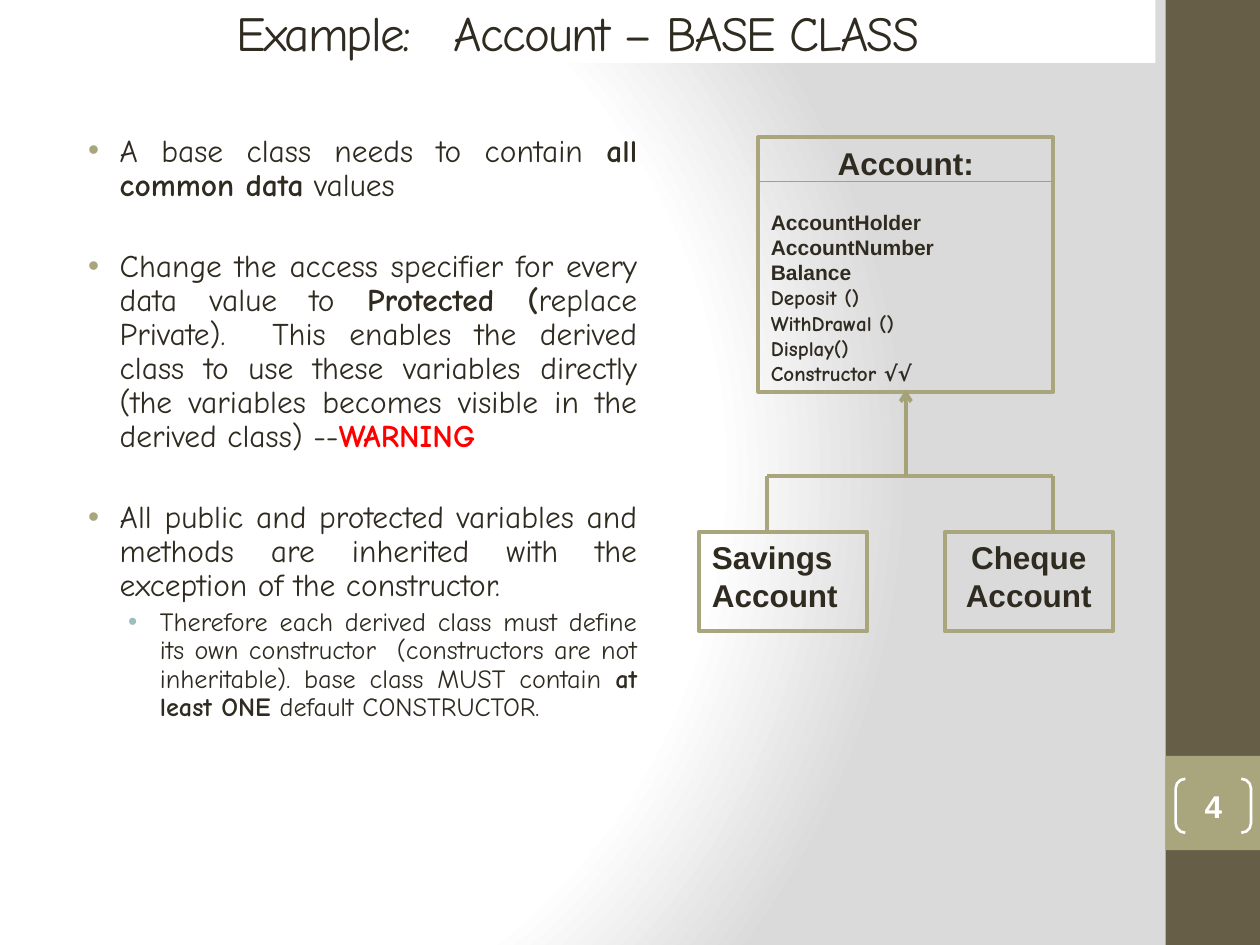
from lxml.etree import SubElement as Sub
from pptx import Presentation
from pptx.dml.color import RGBColor
from pptx.enum.shapes import MSO_CONNECTOR as Link, MSO_SHAPE as Kind
from pptx.enum.text import MSO_ANCHOR as Anchor, MSO_AUTO_SIZE as Auto, PP_ALIGN as Align
from pptx.oxml import parse_xml
from pptx.oxml.ns import nsdecls, qn
from pptx.util import Cm, Pt

INK, GOLD, DARK, TEAL = "2F2B20", "A9A57C", "675E47", "9CBEBD"
OLIVE, WHITE, GREY, RED = "A6A278", "FFFFFF", "DADADA", "FF0000"
HAND, SANS = "Comic Neue", "Arial"


def rgb(code):
    """Turn a hex string into a colour."""
    return RGBColor.from_string(code)


def write(para, text, size=18, font=HAND, color=INK, bold=False, track=None):
    """Add a formatted run to a paragraph."""
    run = para.add_run()
    run.text = text
    face = run.font
    face.size, face.name, face.bold = Pt(size), font, bold
    face.color.rgb = rgb(color)
    if track:
        run._r.get_or_add_rPr().set("spc", str(track * 100))


def place(shape, left, top, width, height):
    """Move and size a shape, in centimetres."""
    shape.left, shape.top = Cm(left), Cm(top)
    shape.width, shape.height = Cm(width), Cm(height)


def frame(shape, anchor=Anchor.TOP):
    """Return the wrapped text frame of a shape."""
    text = shape.text_frame
    text.word_wrap, text.auto_size = True, Auto.NONE
    text.vertical_anchor = anchor
    return text


def start(text, align, first=False):
    """Open a paragraph with an alignment."""
    para = text.paragraphs[0] if first else text.add_paragraph()
    para.alignment = align
    return para


def box(slide, area, kind=Kind.RECTANGLE, fill=None, line=None, width=2.25):
    """Draw a preset shape."""
    shape = slide.shapes.add_shape(kind, *map(Cm, area))
    shape.shadow.inherit = False
    if fill:
        shape.fill.solid()
        shape.fill.fore_color.rgb = rgb(fill)
    else:
        shape.fill.background()
    if line:
        shape.line.color.rgb = rgb(line)
        shape.line.width = Pt(width)
    else:
        shape.line.fill.background()
    return shape


def join(slide, ends, color=GOLD, width=2.25, arrow=False):
    """Draw a straight line, with an arrowhead if asked."""
    link = slide.shapes.add_connector(Link.STRAIGHT, *map(Cm, ends))
    link.line.color.rgb = rgb(color)
    link.line.width = Pt(width)
    if arrow:
        Sub(link.line._get_or_add_ln(), qn("a:tailEnd"), type="arrow")
    Sub(link._element.spPr, qn("a:effectLst"))


def bullet(text, parts, size=18, gap=27, indent=0.97, dot=GOLD, level=0, first=False):
    """Add a justified bullet made of (text, format) parts."""
    para = start(text, Align.JUSTIFY, first)
    para.level, para.line_spacing, para.space_before = level, 0.9, Pt(gap)
    props = para._p.get_or_add_pPr()
    props.set("marL", str(Cm(indent)))
    props.set("indent", str(Cm(-0.64)))
    Sub(Sub(props, qn("a:buClr")), qn("a:srgbClr"), val=dot)
    Sub(props, qn("a:buFont"), typeface=SANS)
    Sub(props, qn("a:buChar"), char="•")
    for words, style in parts:
        write(para, words, size=size, **style)


def backdrop(slide):
    """Fill the background with a round gradient."""
    slide.background.fill.solid()
    props = slide.element.find(".//" + qn("p:bgPr"))
    stops = "".join(
        f'<a:gs pos="{pos * 1000}"><a:srgbClr val="{code}"/></a:gs>'
        for pos, code in ((0, WHITE), (75, WHITE), (100, GREY)))
    grad = parse_xml(
        f'<a:gradFill {nsdecls("a")} rotWithShape="1"><a:gsLst>{stops}</a:gsLst>'
        '<a:path path="circle"><a:fillToRect l="20000" t="50000" r="100000" b="50000"/>'
        '</a:path></a:gradFill>')
    props.replace(props[0], grad)


def margin(slide):
    """Draw the side band with the page number."""
    box(slide, (23.5, 0, 1.9, 19.05), fill=DARK)
    box(slide, (23.5, 15.24, 1.9, 1.9), fill=GOLD)
    mark = box(slide, (23.7, 15.7, 1.52, 1.09), Kind.DOUBLE_BRACKET, line=WHITE, width=1.5)
    mark.adjustments[0] = 0.18
    para = start(frame(mark, Anchor.MIDDLE), Align.CENTER, True)
    write(para, "4", font=SANS, color=WHITE, bold=True)


def heading(slide):
    """Fill the title."""
    title = slide.shapes.title
    place(title, 0, 0, 23.29, 1.27)
    title.fill.solid()
    title.fill.fore_color.rgb = rgb(WHITE)
    para = start(frame(title, Anchor.MIDDLE), Align.CENTER, True)
    write(para, "Example:   Account – BASE CLASS", size=28, track=-1)


def points(slide):
    """Fill the body list."""
    body = slide.placeholders[1]
    place(body, 1.19, 2.59, 11.91, 15.04)
    text, bold = frame(body), {"bold": True}
    bullet(text, [("A base class needs to contain ", {}), ("all common data", bold),
                  (" values", {})], gap=3.6, first=True)
    bullet(text, [("Change the access specifier for every data value to ", {}),
                  ("Protected (", bold),
                  ("replace Private).  This enables the derived class to use these "
                   "variables directly (the variables becomes visible in the derived "
                   "class) --", {}),
                  ("WARNING", {"bold": True, "color": RED})])
    bullet(text, [("All public and protected variables and methods are inherited "
                   "with the exception of the constructor.", {})])
    bullet(text, [("Therefore each derived class must define its own constructor  "
                   "(constructors are not inheritable). base class MUST contain ", {}),
                  ("at least ONE", bold), (" default CONSTRUCTOR.", {})],
           size=15, gap=3, indent=1.78, dot=TEAL, level=1)


def diagram(slide):
    """Draw the class tree."""
    left, right, mid, bar, base = 15.47, 21.23, 18.26, 9.6, 10.72
    text = frame(box(slide, (15.29, 2.77, 5.94, 5.13), line=GOLD))
    write(start(text, Align.CENTER, True), "Account:", font=SANS, bold=True)
    fields = ["AccountHolder", "AccountNumber", "Balance"]
    calls = ["Deposit ()", "WithDrawal ()", "Display()", "Constructor √√"]
    for name in fields + calls:
        para = start(text, Align.JUSTIFY)
        para.line_spacing = Pt(14.4)
        para.space_before = Pt(16 if name == fields[0] else 0)
        write(para, name, size=12, font=SANS if name in fields else HAND, bold=True)
    for x, name, align in ((14.1, "Savings Account", Align.LEFT),
                           (19.05, "Cheque Account", Align.CENTER)):
        text = frame(box(slide, (x, base, 3.38, 2.01), line=GOLD))
        write(start(text, align, True), name, font=SANS, bold=True)
    join(slide, (15.29, 3.66, right, 3.66), OLIVE, 1)
    join(slide, (left, bar, right, bar))
    join(slide, (left, bar, left, base))
    join(slide, (right, bar, right, base), OLIVE)
    join(slide, (mid, bar, mid, 7.85), OLIVE, arrow=True)


def main():
    """Build and save the slide."""
    deck = Presentation()
    deck.slide_width, deck.slide_height = Cm(25.4), Cm(19.05)
    slide = deck.slides.add_slide(deck.slide_layouts[1])
    backdrop(slide)
    margin(slide)
    heading(slide)
    points(slide)
    diagram(slide)
    deck.save("out.pptx")


if __name__ == "__main__":
    main()
